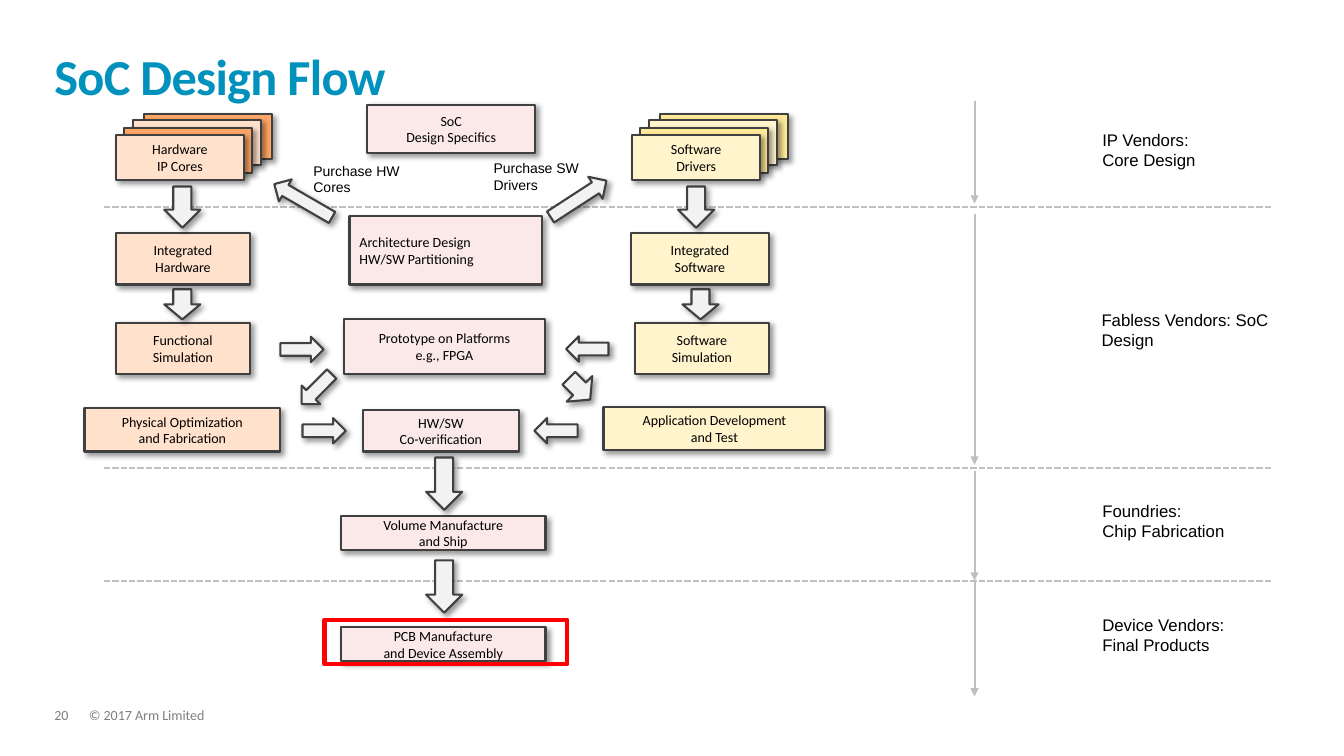
from dataclasses import dataclass

from pptx import Presentation
from pptx.dml.color import RGBColor
from pptx.enum import dml, shapes, text
from pptx.oxml import parse_xml
from pptx.oxml.ns import nsdecls, qn
from pptx.util import Cm, Pt


@dataclass(frozen=True)
class Theme:
    title: str = "0091BD"
    ink: str = "000000"
    footer: str = "7F7F7F"
    guide: str = "BFBFBF"
    outline: str = "404040"
    highlight: str = "FF0000"
    arrow: str = "F2F2F2"
    hardware: str = "FFE1CC"
    hardware_dark: str = "FFA666"
    software: str = "FFF4CC"
    software_dark: str = "FFE999"
    shared: str = "FBE9E9"
    heading_font: str = "Calibri"
    label_font: str = "Arial"
    title_size: float = 36
    stage_size: float = 12
    small_size: float = 10


THEME = Theme()


@dataclass(frozen=True)
class Box:
    left: float
    top: float
    width: float
    height: float

    def lengths(self) -> tuple:
        return Cm(self.left), Cm(self.top), Cm(self.width), Cm(self.height)


@dataclass(frozen=True)
class Step:
    box: Box
    lines: tuple
    fill: str
    align: text.PP_ALIGN = text.PP_ALIGN.CENTER


@dataclass(frozen=True)
class FlowArrow:
    box: Box
    rotation: float = 0


@dataclass(frozen=True)
class Stage:
    box: Box
    lines: tuple
    start: float
    end: float


CORES = Step(Box(2.92, 3.4, 3.23, 1.14), ("Hardware", "IP Cores"), THEME.hardware)
DRIVERS = Step(Box(15.93, 3.4, 3.23, 1.14), ("Software", "Drivers"), THEME.software)
STACK_OFFSETS = ((0.71, -0.53), (0.43, -0.38), (0.2, -0.18))

STEPS = (
    CORES,
    DRIVERS,
    Step(Box(9.25, 2.64, 4.24, 1.22), ("SoC", "Design Specifics"), THEME.shared),
    Step(Box(8.81, 5.44, 4.85, 1.73), ("Architecture Design", "HW/SW Partitioning"),
         THEME.shared, text.PP_ALIGN.LEFT),
    Step(Box(2.92, 5.87, 3.38, 1.3), ("Integrated", "Hardware"), THEME.hardware),
    Step(Box(15.9, 5.87, 3.48, 1.3), ("Integrated", "Software"), THEME.software),
    Step(Box(2.92, 8.13, 3.38, 1.3), ("Functional", "Simulation"), THEME.hardware),
    Step(Box(8.66, 8.05, 5.08, 1.37), ("Prototype on Platforms", "e.g., FPGA"), THEME.shared),
    Step(Box(16, 8.13, 3.38, 1.3), ("Software", "Simulation"), THEME.software),
    Step(Box(2.13, 10.29, 4.93, 1.09), ("Physical Optimization", "and Fabrication"),
         THEME.hardware),
    Step(Box(9.14, 10.34, 3.94, 1.04), ("HW/SW", "Co-verification"), THEME.shared),
    Step(Box(15.21, 10.26, 5.59, 1.09), ("Application Development", "and Test"),
         THEME.software),
    Step(Box(8.59, 13, 5.16, 0.86), ("Volume Manufacture", "and Ship"), THEME.shared),
    Step(Box(8.59, 15.8, 5.16, 0.86), ("PCB Manufacture", "and Device Assembly"),
         THEME.shared),
)

ARROWS = (
    FlowArrow(Box(4.14, 4.7, 0.91, 1.04)),
    FlowArrow(Box(17.09, 4.7, 0.91, 1.04)),
    FlowArrow(Box(4.14, 7.29, 0.91, 0.76)),
    FlowArrow(Box(17.2, 7.29, 0.91, 0.76)),
    FlowArrow(Box(10.74, 11.53, 0.91, 1.32)),
    FlowArrow(Box(10.74, 14.12, 0.91, 1.32)),
    FlowArrow(Box(7.32, 4.22, 0.64, 1.68), 120),
    FlowArrow(Box(14.25, 4.17, 0.66, 1.68), 237),
    FlowArrow(Box(7.29, 8.26, 0.64, 1.09), 270),
    FlowArrow(Box(14.48, 8.26, 0.64, 1.07), 90),
    FlowArrow(Box(7.65, 9.27, 0.66, 1.07), 45),
    FlowArrow(Box(14.15, 9.42, 0.91, 0.76), 315),
    FlowArrow(Box(7.85, 10.31, 0.64, 1.09), 270),
    FlowArrow(Box(13.69, 10.31, 0.64, 1.09), 90),
)

STAGES = (
    Stage(Box(27.53, 3.15, 4.01, 1.3), ("IP Vendors:", "Core Design"), 2.54, 5.13),
    Stage(Box(27.51, 7.67, 5.61, 1.3), ("Fabless Vendors: SoC Design",), 5.38, 11.71),
    Stage(Box(27.53, 12.5, 4.7, 1.27), ("Foundries:", "Chip Fabrication"), 11.86, 14.63),
    Stage(Box(27.53, 15.37, 5.59, 1.3), ("Device Vendors:", "Final Products"), 14.66, 17.55),
)
STAGE_AXIS = 24.56
DIVIDERS = (5.21, 11.79, 14.63)

PURCHASES = (
    (Box(7.65, 3.96, 3.12, 1.12), "Purchase HW Cores"),
    (Box(12.19, 3.89, 3.15, 1.12), "Purchase SW Drivers"),
)
FOOTERS = (
    (Box(2.24, 17.86, 23.19, 0.38), "© 2017 Arm Limited"),
    (Box(1.37, 17.86, 0.86, 0.38), "20"),
)


def write_lines(frame, lines: tuple, font: str, size: float, color: str,
                align=text.PP_ALIGN.LEFT, spacing: float = 1.0) -> None:
    for index, line in enumerate(lines):
        paragraph = frame.add_paragraph() if index else frame.paragraphs[0]
        paragraph.alignment = align
        paragraph.line_spacing = spacing
        run = paragraph.add_run()
        run.text = line
        run.font.name = font
        run.font.size = Pt(size)
        run.font.color.rgb = RGBColor.from_string(color)


def clear_margins(frame) -> None:
    frame.margin_left = frame.margin_top = frame.margin_right = frame.margin_bottom = 0


def add_text(slide, box: Box, lines: tuple, font: str, size: float, color: str,
             spacing: float = 1.0):
    frame = slide.shapes.add_textbox(*box.lengths()).text_frame
    frame.word_wrap = True
    frame.auto_size = text.MSO_AUTO_SIZE.SHAPE_TO_FIT_TEXT
    write_lines(frame, lines, font, size, color, spacing=spacing)
    return frame


def add_raised(slide, kind: shapes.MSO_SHAPE, box: Box, fill: str):
    """Add a filled, outlined shape with a soft shadow to its lower right."""
    shape = slide.shapes.add_shape(kind, *box.lengths())
    shape.fill.solid()
    shape.fill.fore_color.rgb = RGBColor.from_string(fill)
    shape.line.color.rgb = RGBColor.from_string(THEME.outline)
    shape.line.width = Pt(1.5)
    shape.shadow.inherit = False
    shape._element.spPr.find(qn("a:effectLst")).append(parse_xml(
        f'<a:outerShdw {nsdecls("a")} blurRad="50800" dist="38100" dir="2700000" algn="tl"'
        ' rotWithShape="0"><a:srgbClr val="000000"><a:alpha val="40000"/></a:srgbClr>'
        '</a:outerShdw>'))
    return shape


def add_step(slide, step: Step) -> None:
    frame = add_raised(slide, shapes.MSO_SHAPE.RECTANGLE, step.box, step.fill).text_frame
    frame.word_wrap = False
    frame.vertical_anchor = text.MSO_ANCHOR.MIDDLE
    write_lines(frame, step.lines, THEME.heading_font, THEME.small_size, THEME.ink, step.align)


def add_stack(slide, front: Step, dark: str) -> None:
    """Add the sheets behind a step, alternating dark and light."""
    for index, (right, down) in enumerate(STACK_OFFSETS):
        box = Box(front.box.left + right, front.box.top + down,
                  front.box.width, front.box.height)
        add_raised(slide, shapes.MSO_SHAPE.RECTANGLE, box, front.fill if index % 2 else dark)


def add_guide(slide, start: tuple, end: tuple):
    line = slide.shapes.add_connector(
        shapes.MSO_CONNECTOR.STRAIGHT, *(Cm(value) for value in start + end))
    line.line.color.rgb = RGBColor.from_string(THEME.guide)
    line.line.width = Pt(1.5)
    line._element.spPr.append(parse_xml(f'<a:effectLst {nsdecls("a")}/>'))
    return line


def add_title(slide) -> None:
    title = slide.shapes.title
    title.left, title.top, title.width, title.height = Box(1.37, 0.81, 31.06, 1.85).lengths()
    frame = title.text_frame
    clear_margins(frame)
    frame.auto_size = text.MSO_AUTO_SIZE.NONE
    frame.vertical_anchor = text.MSO_ANCHOR.BOTTOM
    write_lines(frame, ("SoC Design Flow",), THEME.heading_font, THEME.title_size,
                THEME.title, spacing=0.85)
    font = frame.paragraphs[0].runs[0].font
    font.bold = True
    font._element.set("spc", "-50")


def main() -> None:
    presentation = Presentation()
    presentation.slide_width, presentation.slide_height = Cm(33.87), Cm(19.05)
    slide = presentation.slides.add_slide(presentation.slide_layouts[5])
    add_title(slide)
    for box, line in FOOTERS:
        clear_margins(add_text(slide, box, (line,), THEME.heading_font, THEME.small_size,
                               THEME.footer, spacing=0.9))
    for height in DIVIDERS:
        divider = add_guide(slide, (32.03, height), (2.59, height))
        divider.line.dash_style = dml.MSO_LINE.SQUARE_DOT
    add_stack(slide, CORES, THEME.hardware_dark)
    add_stack(slide, DRIVERS, THEME.software_dark)
    for step in STEPS:
        add_step(slide, step)
    for arrow in ARROWS:
        shape = add_raised(slide, shapes.MSO_SHAPE.DOWN_ARROW, arrow.box, THEME.arrow)
        shape.rotation = arrow.rotation
    for box, line in PURCHASES:
        add_text(slide, box, (line,), THEME.label_font, THEME.small_size, THEME.ink)
    for stage in STAGES:
        add_text(slide, stage.box, stage.lines, THEME.label_font, THEME.stage_size, THEME.ink)
        span = add_guide(slide, (STAGE_AXIS, stage.start), (STAGE_AXIS, stage.end))
        span.line._get_or_add_ln().append(
            parse_xml(f'<a:tailEnd {nsdecls("a")} type="triangle"/>'))
    highlight = slide.shapes.add_shape(
        shapes.MSO_SHAPE.RECTANGLE, *Box(8.18, 15.62, 6.12, 1.12).lengths())
    highlight.fill.background()
    highlight.line.color.rgb = RGBColor.from_string(THEME.highlight)
    highlight.line.width = Pt(3)
    highlight.shadow.inherit = False
    presentation.save("out.pptx")


if __name__ == "__main__":
    main()
